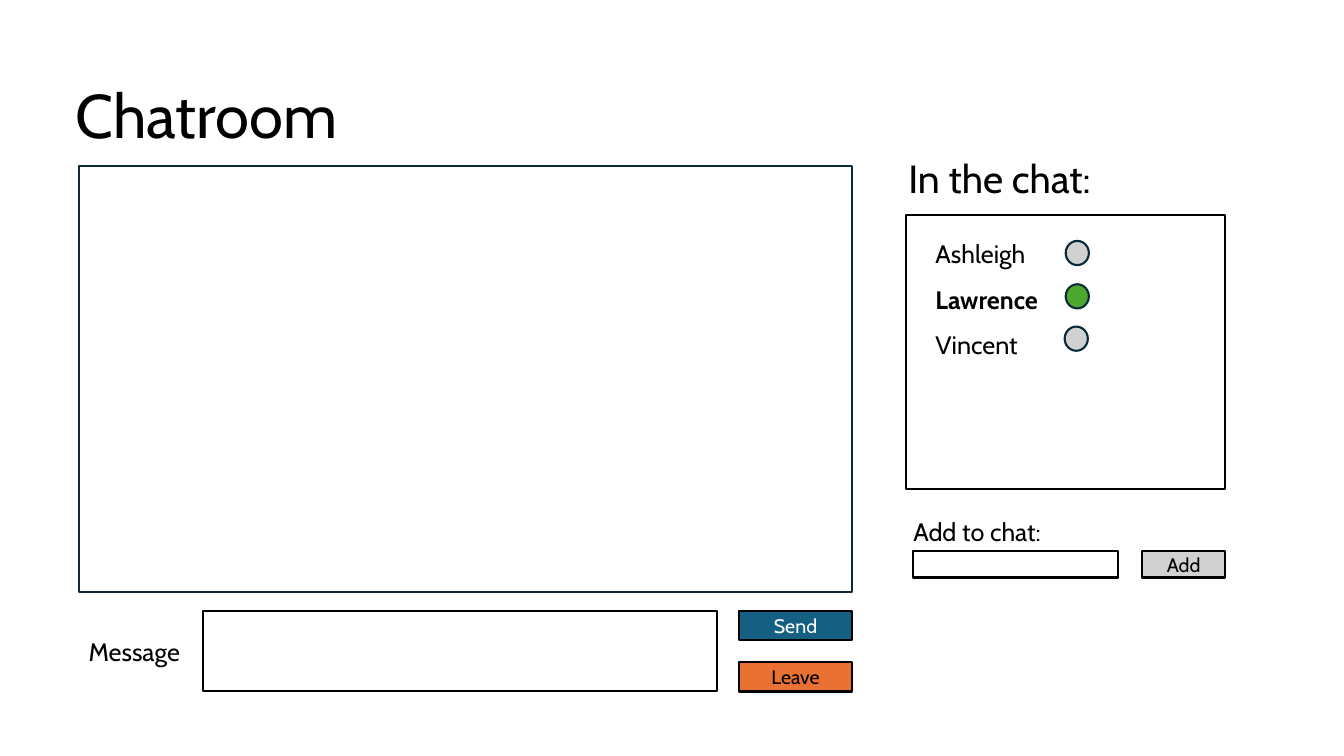
from pptx import Presentation
from pptx.dml.color import RGBColor
from pptx.enum.shapes import MSO_SHAPE
from pptx.enum.text import MSO_ANCHOR, PP_ALIGN
from pptx.util import Emu, Pt

PX = 9144
FONT = "Cabin"
BLACK = RGBColor(0x00, 0x00, 0x00)
WHITE = RGBColor(0xFF, 0xFF, 0xFF)
NAVY = RGBColor(0x09, 0x2A, 0x39)
BLUE = RGBColor(0x15, 0x60, 0x82)
ORANGE = RGBColor(0xE9, 0x71, 0x32)
GREY = RGBColor(0xD1, 0xD1, 0xD1)
GREEN = RGBColor(0x4E, 0xA7, 0x2E)

deck = Presentation()
deck.slide_width = Emu(1333 * PX)
deck.slide_height = Emu(750 * PX)
chatroom = deck.slides.add_slide(deck.slide_layouts[6])


def add_outlined(kind, box, line, fill=None):
    shape = chatroom.shapes.add_shape(kind, *[Emu(n * PX) for n in box])
    shape.shadow.inherit = False
    shape.line.color.rgb = line
    shape.line.width = Pt(1.5)
    if fill is None:
        shape.fill.background()
    else:
        shape.fill.solid()
        shape.fill.fore_color.rgb = fill
    return shape


def write(frame, lines, size, color=BLACK, spacing=1.0, align=PP_ALIGN.LEFT, bold_line=None):
    frame.word_wrap = True
    frame.text = "\n".join(lines)
    for paragraph in frame.paragraphs:
        paragraph.alignment = align
        paragraph.line_spacing = spacing
        font = paragraph.runs[0].font
        font.name = FONT
        font.size = Pt(size)
        font.color.rgb = color
        font.bold = paragraph.text == bold_line


panels = [
    ((78, 165, 767, 422), NAVY),
    ((201, 606, 510, 80), BLACK),
    ((899, 213, 316, 272), BLACK),
    ((906, 547, 203, 26), BLACK),
]
for box, line in panels:
    add_outlined(MSO_SHAPE.RECTANGLE, box, line)

buttons = [
    ("Send", (733, 606, 112, 29), BLUE, WHITE),
    ("Leave", (733, 657, 112, 29), ORANGE, BLACK),
    ("Add", (1133, 547, 82, 26), GREY, BLACK),
]
for caption, box, fill, color in buttons:
    button = add_outlined(MSO_SHAPE.RECTANGLE, box, BLACK, fill)
    button.text_frame.vertical_anchor = MSO_ANCHOR.MIDDLE
    write(button.text_frame, [caption], 14, color, align=PP_ALIGN.CENTER)

labels = [
    (["Chatroom"], (65, 45, 1150, 145), 44, 0.9, MSO_ANCHOR.MIDDLE),
    (["Message"], (78, 626, 213, 40), 18, 1.0, MSO_ANCHOR.TOP),
    (["In the chat:"], (891, 153, 278, 162), 28, 0.9, MSO_ANCHOR.TOP),
    (["Ashleigh", "Lawrence", "Vincent"], (918, 217, 203, 187), 18, 1.5, MSO_ANCHOR.TOP),
    (["Add to chat:"], (896, 507, 213, 40), 18, 1.0, MSO_ANCHOR.TOP),
]
for lines, box, size, spacing, anchor in labels:
    label = chatroom.shapes.add_textbox(*[Emu(n * PX) for n in box])
    label.text_frame.vertical_anchor = anchor
    write(label.text_frame, lines, size, spacing=spacing, bold_line="Lawrence")

for left, top, status in [(1057, 239, GREY), (1057, 282, GREEN), (1056, 324, GREY)]:
    add_outlined(MSO_SHAPE.OVAL, (left, top, 23, 24), NAVY, status)

deck.save("out.pptx")
